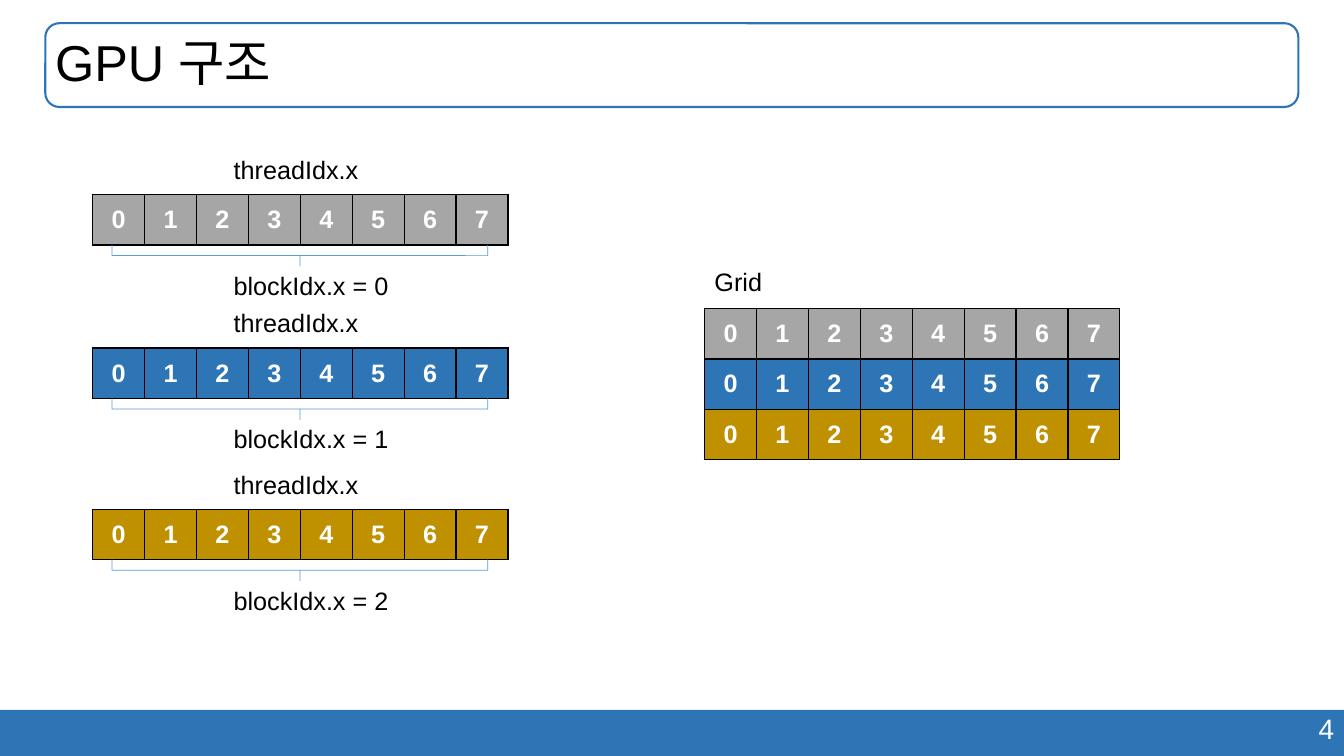
from lxml.etree import SubElement
from pptx import Presentation
from pptx.dml.color import RGBColor
from pptx.enum.shapes import MSO_SHAPE
from pptx.enum.text import MSO_ANCHOR, PP_ALIGN
from pptx.oxml.ns import qn
from pptx.util import Pt

BLACK = RGBColor(0x00, 0x00, 0x00)
WHITE = RGBColor(0xFF, 0xFF, 0xFF)
GRAY = RGBColor(0xA6, 0xA6, 0xA6)
BLUE = RGBColor(0x2E, 0x75, 0xB6)
GOLD = RGBColor(0xBF, 0x90, 0x00)
BRACE_BLUE = RGBColor(0x5B, 0x9B, 0xD5)
FONT = "Arial"

TITLE = "GPU 구조"
PAGE_NUMBER = "4"
GRID_LABEL = "Grid"
THREAD_LABEL = "threadIdx.x"
THREADS = [str(index) for index in range(8)]
BLOCKS = [
    ("blockIdx.x = 0", GRAY, 139),
    ("blockIdx.x = 1", BLUE, 248.6),
    ("blockIdx.x = 2", GOLD, 363.8),
]

SLIDE_W, SLIDE_H = 960, 540
TITLE_BOX = (32.4, 16.6, 895, 59.8)
FOOTER_TOP = 507
CELL_W, CELL_H = 37.1, 36
BLOCK_LEFT = 66.2
GRID_LEFT, GRID_TOP = 503.3, 220.4
LABEL_LEFT, LABEL_H = 159.8, 29
BRACE_W, BRACE_SPAN = 15.1, 268.4
BRACE_CENTER = 214.2


def add_run(paragraph, text, size, color, bold=False):
    run = paragraph.add_run()
    run.text = text
    run.font.name = FONT
    run.font.size = Pt(size)
    run.font.bold = bold
    run.font.color.rgb = color


def add_label(slide, text, left, top, width, height, size=18, color=BLACK,
              align=PP_ALIGN.LEFT, anchor=MSO_ANCHOR.TOP, wrap=False):
    label = slide.shapes.add_textbox(Pt(left), Pt(top), Pt(width), Pt(height))
    frame = label.text_frame
    frame.word_wrap = wrap
    frame.vertical_anchor = anchor
    paragraph = frame.paragraphs[0]
    paragraph.alignment = align
    add_run(paragraph, text, size, color)
    return paragraph


def add_outline(slide, kind, left, top, width, height, color, weight):
    outline = slide.shapes.add_shape(kind, Pt(left), Pt(top), Pt(width), Pt(height))
    outline.shadow.inherit = False
    outline.fill.background()
    outline.line.color.rgb = color
    outline.line.width = Pt(weight)
    return outline


def add_borders(cell):
    properties = cell._tc.get_or_add_tcPr()
    for side in ("a:lnL", "a:lnR", "a:lnT", "a:lnB"):
        border = SubElement(properties, qn(side), w=str(Pt(1)))
        fill = SubElement(border, qn("a:solidFill"))
        SubElement(fill, qn("a:srgbClr"), val=str(BLACK))


def add_threads(slide, left, top, color):
    threads = slide.shapes.add_table(
        1, len(THREADS), Pt(left), Pt(top), Pt(CELL_W * len(THREADS)), Pt(CELL_H)
    ).table
    threads.first_row = False
    threads.horz_banding = False
    for column, thread in enumerate(THREADS):
        threads.columns[column].width = Pt(CELL_W)
        cell = threads.cell(0, column)
        add_borders(cell)
        cell.fill.solid()
        cell.fill.fore_color.rgb = color
        cell.vertical_anchor = MSO_ANCHOR.MIDDLE
        paragraph = cell.text_frame.paragraphs[0]
        paragraph.alignment = PP_ALIGN.CENTER
        add_run(paragraph, thread, 18, WHITE, bold=True)


def add_block(slide, block_label, color, top):
    add_threads(slide, BLOCK_LEFT, top, color)
    brace = add_outline(
        slide, MSO_SHAPE.RIGHT_BRACE, BRACE_CENTER - BRACE_W / 2,
        top + CELL_H + BRACE_W / 2 - BRACE_SPAN / 2, BRACE_W, BRACE_SPAN,
        BRACE_BLUE, 0.5)
    brace.rotation = 90
    brace.adjustments[0] = 0
    brace.adjustments[1] = 0.5
    add_label(slide, block_label, LABEL_LEFT, top + 50.4, 126, LABEL_H)
    add_label(slide, THREAD_LABEL, LABEL_LEFT, top - 32.4, 104.4, LABEL_H)


def main():
    deck = Presentation()
    deck.slide_width, deck.slide_height = Pt(SLIDE_W), Pt(SLIDE_H)
    slide = deck.slides.add_slide(deck.slide_layouts[6])

    footer = slide.shapes.add_shape(
        MSO_SHAPE.RECTANGLE, 0, Pt(FOOTER_TOP), Pt(SLIDE_W), Pt(SLIDE_H - FOOTER_TOP))
    footer.shadow.inherit = False
    footer.fill.solid()
    footer.fill.fore_color.rgb = BLUE
    footer.line.fill.background()
    add_label(slide, PAGE_NUMBER, 679, 504.7, 281, 31.5, size=20, color=WHITE,
              align=PP_ALIGN.RIGHT, wrap=True)

    add_outline(slide, MSO_SHAPE.ROUNDED_RECTANGLE, *TITLE_BOX, BLUE, 1.5)
    title = add_label(slide, TITLE, *TITLE_BOX, size=36,
                      anchor=MSO_ANCHOR.MIDDLE, wrap=True)
    title.line_spacing = 0.9

    for block_label, color, top in BLOCKS:
        add_block(slide, block_label, color, top)

    for row, (_, color, _) in enumerate(BLOCKS):
        add_threads(slide, GRID_LEFT, GRID_TOP + row * CELL_H, color)
    add_label(slide, GRID_LABEL, GRID_LEFT, 186.5, 80, LABEL_H, wrap=True)

    deck.save("out.pptx")


if __name__ == "__main__":
    main()
